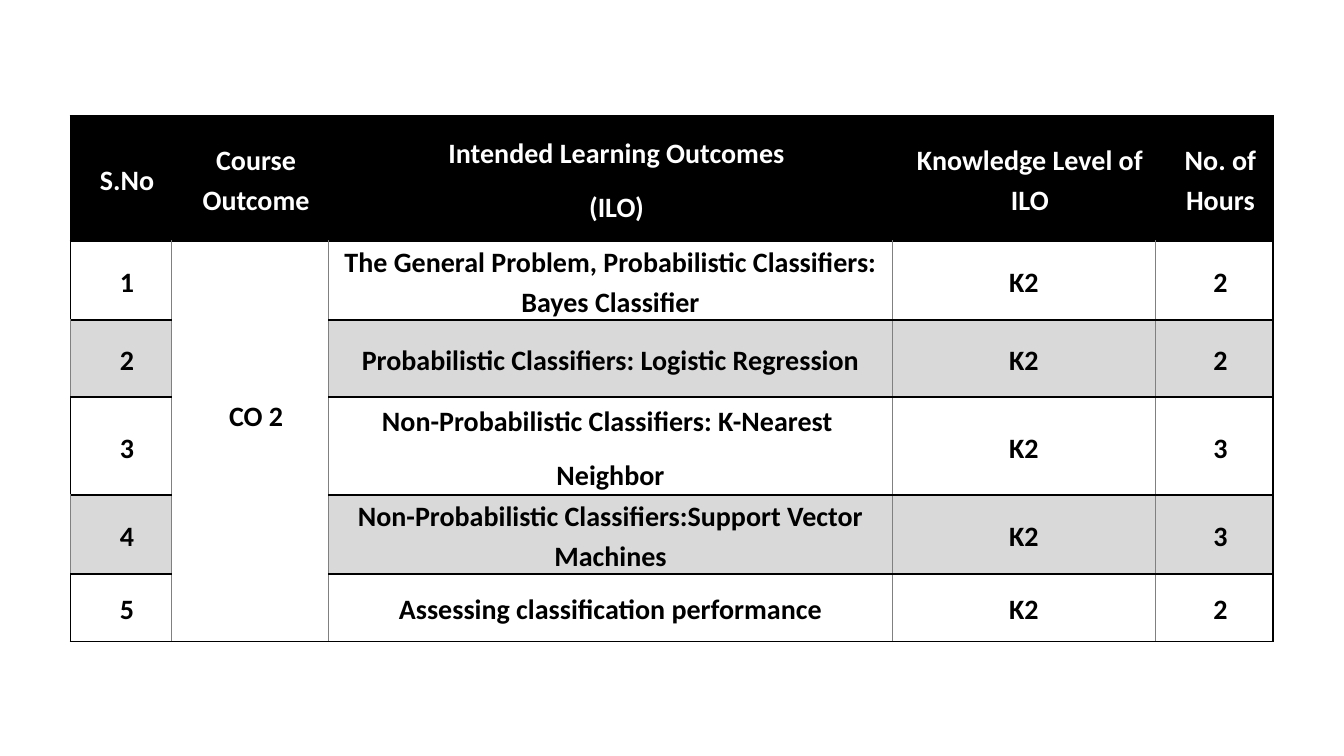
"""Build a slide with the learning outcomes table of course outcome CO 2."""
from lxml import etree
from pptx import Presentation
from pptx.dml.color import RGBColor
from pptx.enum.text import MSO_ANCHOR, PP_ALIGN
from pptx.oxml.ns import qn
from pptx.util import Inches, Pt

MIDDLE = MSO_ANCHOR.MIDDLE
CENTER = PP_ALIGN.CENTER

HEADINGS = ["S.No", "Course Outcome", "Intended Learning Outcomes\n(ILO)",
            "Knowledge Level of ILO", "No. of Hours"]
COURSE_OUTCOME = "CO 2"
OUTCOMES = [
    ("The General Problem, Probabilistic Classifiers: Bayes Classifier", "K2", 2),
    ("Probabilistic Classifiers: Logistic Regression", "K2", 2),
    ("Non-Probabilistic Classifiers: K-Nearest \nNeighbor", "K2", 3),
    ("Non-Probabilistic Classifiers:Support Vector Machines", "K2", 3),
    ("Assessing classification performance", "K2", 2),
]

THEME = {
    "font": "Calibri", "size": 20,
    "black": "000000", "white": "FFFFFF", "band": "D9D9D9", "grid": "808080",
    "thick": 1.5, "thin": 0.5,
}
LEFT, TOP = 0.7, 1.15
COLUMN_WIDTHS = [1, 1.56, 5.59, 2.61, 1.17]
ROW_HEIGHTS = [1.24, 0.77, 0.77, 0.97, 0.77, 0.67]
PADDED = (0.17, 0.13, 0.05, 0.13)
TIGHT = (0.1, 0, 0.1, 0)
RAISED = (0.17, 0.13, 0.05, 0.66)
COURSE_COLUMN, LAST_COLUMN = 1, len(COLUMN_WIDTHS) - 1


def add_border(cell, side, strong):
    """Draw one cell edge, either thick black or thin grey."""
    color, width = ("black", "thick") if strong else ("grid", "thin")
    edge = etree.SubElement(cell._tc.get_or_add_tcPr(), qn(f"a:ln{side}"),
                            w=str(Pt(THEME[width])))
    fill = etree.SubElement(edge, qn("a:solidFill"))
    etree.SubElement(fill, qn("a:srgbClr"), val=THEME[color])


def write_cell(cell, words, color, insets):
    """Write centred bold lines into a cell."""
    cell.vertical_anchor = MIDDLE
    (cell.margin_left, cell.margin_top,
     cell.margin_right, cell.margin_bottom) = map(Inches, insets)
    for index, line in enumerate(words.split("\n")):
        frame = cell.text_frame
        paragraph = frame.add_paragraph() if index else frame.paragraphs[0]
        paragraph.alignment = CENTER
        paragraph.line_spacing = 1.15
        paragraph.space_after = Pt(10)
        run = paragraph.add_run()
        run.text = line
        run.font.name = THEME["font"]
        run.font.size = Pt(THEME["size"])
        run.font.bold = True
        run.font.color.rgb = RGBColor.from_string(THEME[color])


def style_cell(cell, row, column):
    """Set the borders and fill that follow from a cell's place."""
    header = row == 0
    banded = not header and row % 2 == 0 and column != COURSE_COLUMN
    add_border(cell, "L", header or (column == 0 and not banded))
    add_border(cell, "R", header or column == LAST_COLUMN)
    add_border(cell, "T", True)
    add_border(cell, "B", True)
    if header or banded:
        cell.fill.solid()
        cell.fill.fore_color.rgb = RGBColor.from_string(
            THEME["black" if header else "band"])
    else:
        cell.fill.background()


def main():
    """Lay out the table and save the presentation."""
    deck = Presentation()
    deck.slide_width, deck.slide_height = Inches(13.33), Inches(7.5)
    slide = deck.slides.add_slide(deck.slide_layouts[6])
    table = slide.shapes.add_table(
        len(ROW_HEIGHTS), len(COLUMN_WIDTHS), Inches(LEFT), Inches(TOP),
        Inches(sum(COLUMN_WIDTHS)), Inches(sum(ROW_HEIGHTS))).table
    table.first_row = table.horz_banding = False
    for column, width in zip(table.columns, COLUMN_WIDTHS):
        column.width = Inches(width)
    for row, height in zip(table.rows, ROW_HEIGHTS):
        row.height = Inches(height)

    for row in range(len(ROW_HEIGHTS)):
        for column in range(len(COLUMN_WIDTHS)):
            style_cell(table.cell(row, column), row, column)
    course_cell = table.cell(1, COURSE_COLUMN)
    course_cell.merge(table.cell(len(OUTCOMES), COURSE_COLUMN))
    write_cell(course_cell, COURSE_OUTCOME, "black", RAISED)

    for column, heading in enumerate(HEADINGS):
        write_cell(table.cell(0, column), heading, "white", PADDED)
    for number, (outcome, level, hours) in enumerate(OUTCOMES, start=1):
        entries = [(0, str(number), PADDED), (2, outcome, TIGHT),
                   (3, level, TIGHT), (4, str(hours), PADDED)]
        for column, words, insets in entries:
            write_cell(table.cell(number, column), words, "black", insets)
    deck.save("out.pptx")


if __name__ == "__main__":
    main()
